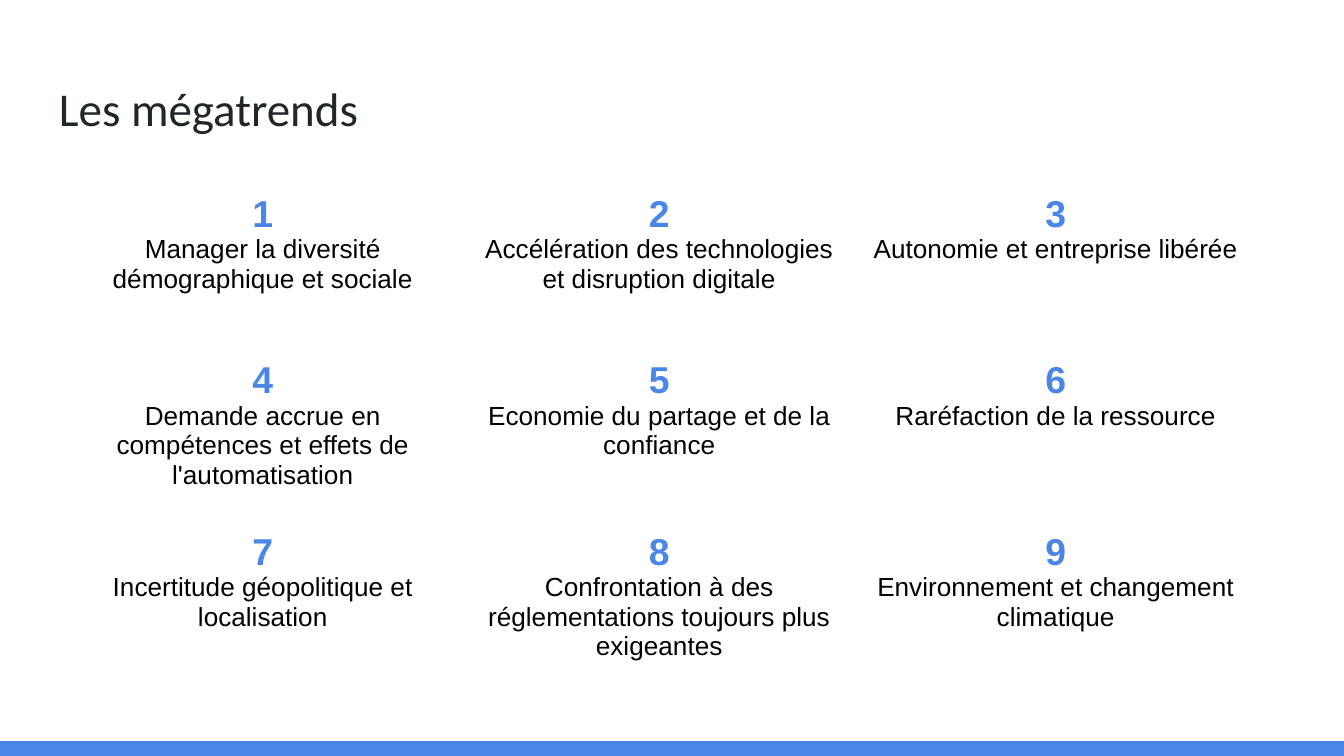
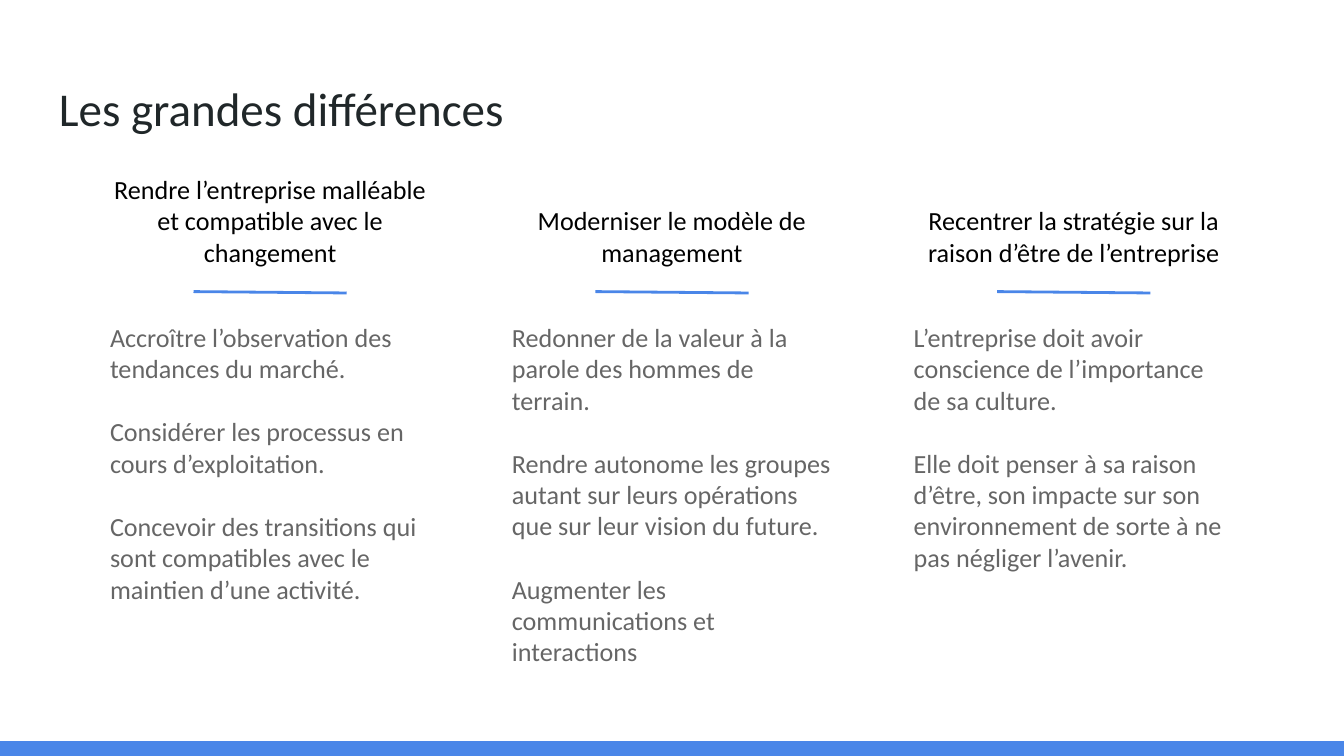
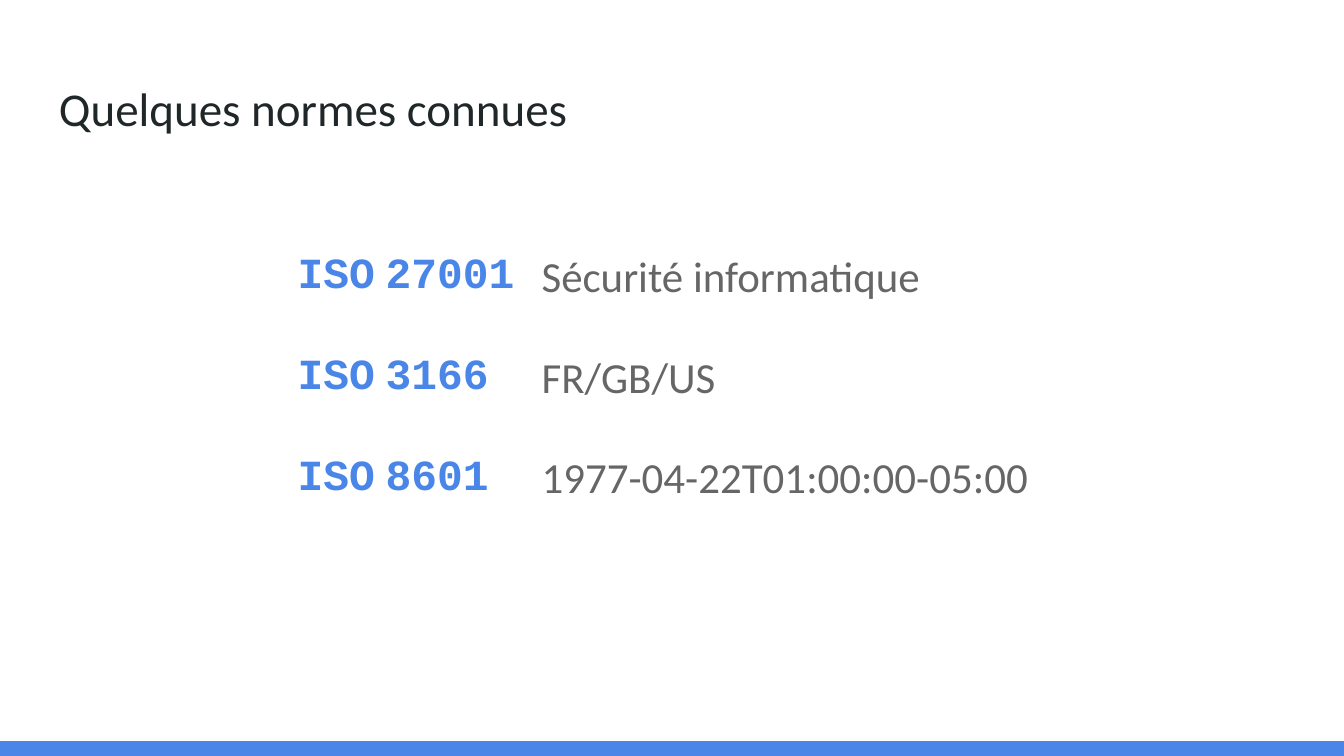
from lxml.etree import SubElement
from pptx import Presentation
from pptx.dml.color import RGBColor
from pptx.enum.shapes import MSO_CONNECTOR, MSO_SHAPE
from pptx.enum.text import MSO_ANCHOR, PP_ALIGN
from pptx.oxml.ns import qn
from pptx.util import Inches, Pt

# Shared style
BLUE, DARK, GREY, BLACK = "4A86E8", "202729", "666666", "000000"
SANS, BODY, MONO = "Arial", "Calibri", "Courier New"
WIDTH, HEIGHT = 10, 5.625
BAND_HEIGHT = 0.11
MARGIN = 0.1

TRENDS = [
    "Manager la diversité démographique et sociale",
    "Accélération des technologies et disruption digitale",
    "Autonomie et entreprise libérée",
    "Demande accrue en compétences et effets de l'automatisation",
    "Economie du partage et de la confiance",
    "Raréfaction de la ressource",
    "Incertitude géopolitique et localisation",
    "Confrontation à des réglementations toujours plus exigeantes",
    "Environnement et changement climatique",
]

# Heading, body height, body paragraphs
DIFFERENCES = [
    ("Rendre l’entreprise malléable et compatible avec le changement", 2.32, [
        "Accroître l’observation des tendances du marché.",
        "Considérer les processus en cours d’exploitation.",
        "Concevoir des transitions qui sont compatibles avec le maintien d’une activité.",
    ]),
    ("Moderniser le modèle de management", 3.03, [
        "Redonner de la valeur à la parole des hommes de terrain.",
        "Rendre autonome les groupes autant sur leurs opérations que sur leur vision du future.",
        "Augmenter les communications et interactions",
    ]),
    ("Recentrer la stratégie sur la raison d’être de l’entreprise", 2.09, [
        "L’entreprise doit avoir conscience de l’importance de sa culture.",
        "Elle doit penser à sa raison d’être, son impacte sur son environnement "
        "de sorte à ne pas négliger l’avenir.",
    ]),
]

STANDARDS = [
    ("27001", "Sécurité informatique"),
    ("3166", "FR/GB/US"),
    ("8601", "1977-04-22T01:00:00-05:00"),
]


def color(value):
    return RGBColor.from_string(value)


def write(frame, text, first=True, size=14, font=BODY, fill=BLACK, bold=False,
          align=PP_ALIGN.LEFT, after=0):
    """Write one paragraph, in the frame's first paragraph or a new one."""
    paragraph = frame.paragraphs[0] if first else frame.add_paragraph()
    paragraph.alignment = align
    paragraph.space_after = Pt(after)
    run = paragraph.add_run()
    run.text = text
    run.font.size = Pt(size)
    run.font.name = font
    run.font.bold = bold
    run.font.color.rgb = color(fill)


def set_margins(target, left=MARGIN, top=MARGIN, right=MARGIN, bottom=MARGIN):
    target.margin_left, target.margin_top = Inches(left), Inches(top)
    target.margin_right, target.margin_bottom = Inches(right), Inches(bottom)


def add_text_box(slide, left, top, width, height, anchor=MSO_ANCHOR.TOP):
    box = slide.shapes.add_textbox(Inches(left), Inches(top), Inches(width), Inches(height))
    frame = box.text_frame
    frame.word_wrap = True
    frame.vertical_anchor = anchor
    set_margins(frame)
    return frame


def add_plain_table(slide, left, top, columns, row_height, row_count):
    shape = slide.shapes.add_table(row_count, len(columns), Inches(left), Inches(top),
                                   Inches(sum(columns)), Inches(row_height * row_count))
    table = shape.table
    table.first_row = table.horz_banding = False
    for column, width in zip(table.columns, columns):
        column.width = Inches(width)
    for cell in table.iter_cells():
        cell.fill.background()
    return table


def add_titled_slide(presentation, title):
    slide = presentation.slides.add_slide(presentation.slide_layouts[6])
    # Bottom band
    band = slide.shapes.add_shape(MSO_SHAPE.RECTANGLE, 0, Inches(HEIGHT - BAND_HEIGHT),
                                  Inches(WIDTH), Inches(BAND_HEIGHT))
    band.shadow.inherit = False
    band.fill.solid()
    band.fill.fore_color.rgb = color(BLUE)
    band.line.fill.background()
    # Title
    write(add_text_box(slide, 0.34, 0.49, 9.32, 0.63), title, size=25.2, fill=DARK)
    return slide


def add_trend_grid(slide, left, top):
    table = add_plain_table(slide, left, top, [2.95] * 3, 1.24, 3)
    for number, (cell, trend) in enumerate(zip(table.iter_cells(), TRENDS), start=1):
        cell.vertical_anchor = MSO_ANCHOR.TOP
        set_margins(cell, top=0.14)
        frame = cell.text_frame
        write(frame, str(number), size=20, font=SANS, fill=BLUE, bold=True,
              align=PP_ALIGN.CENTER)
        write(frame, trend, first=False, font=SANS, align=PP_ALIGN.CENTER)


def add_difference(slide, left, top, width, heading, body_height, points):
    # Heading
    frame = add_text_box(slide, left, top, width, 0.91, MSO_ANCHOR.BOTTOM)
    write(frame, heading, align=PP_ALIGN.CENTER)
    # Body
    frame = add_text_box(slide, left, top + 1.11, width, body_height)
    for index, point in enumerate(points):
        is_last = index == len(points) - 1
        write(frame, point, first=index == 0, fill=GREY, after=0 if is_last else 17)
    # Slightly slanted rule
    rule_left = left + 0.72
    rule = slide.shapes.add_connector(MSO_CONNECTOR.STRAIGHT,
                                      Inches(rule_left), Inches(top + 0.99),
                                      Inches(left + width - 0.72), Inches(top + 1))
    rule.line.color.rgb = color(BLUE)
    rule.line.width = Pt(1.5)
    SubElement(rule._element.spPr, qn("a:effectLst"))


def add_standards_table(slide, left, top):
    table = add_plain_table(slide, left, top, [1.02, 1.2, 4.2], 0.75, len(STANDARDS))
    code = {"font": MONO, "fill": BLUE, "bold": True}
    for row, (number, meaning) in zip(table.rows, STANDARDS):
        parts = [
            ("ISO", 0.02, 0.02, {**code, "align": PP_ALIGN.RIGHT}),
            (number, 0.06, 0.02, code),
            (meaning, 0.02, MARGIN, {"fill": GREY}),
        ]
        for cell, (text, margin_left, margin_right, style) in zip(row.cells, parts):
            cell.vertical_anchor = MSO_ANCHOR.MIDDLE
            set_margins(cell, left=margin_left, right=margin_right)
            write(cell.text_frame, text, size=23, **style)


def main():
    presentation = Presentation()
    presentation.slide_width, presentation.slide_height = Inches(WIDTH), Inches(HEIGHT)

    add_trend_grid(add_titled_slide(presentation, "Les mégatrends"), 0.48, 1.3)

    slide = add_titled_slide(presentation, "Les grandes différences")
    for index, difference in enumerate(DIFFERENCES):
        add_difference(slide, 0.72 + 2.99 * index, 1.18, 2.58, *difference)

    add_standards_table(add_titled_slide(presentation, "Quelques normes connues"), 1.79, 1.69)

    presentation.save("out.pptx")


if __name__ == "__main__":
    main()
